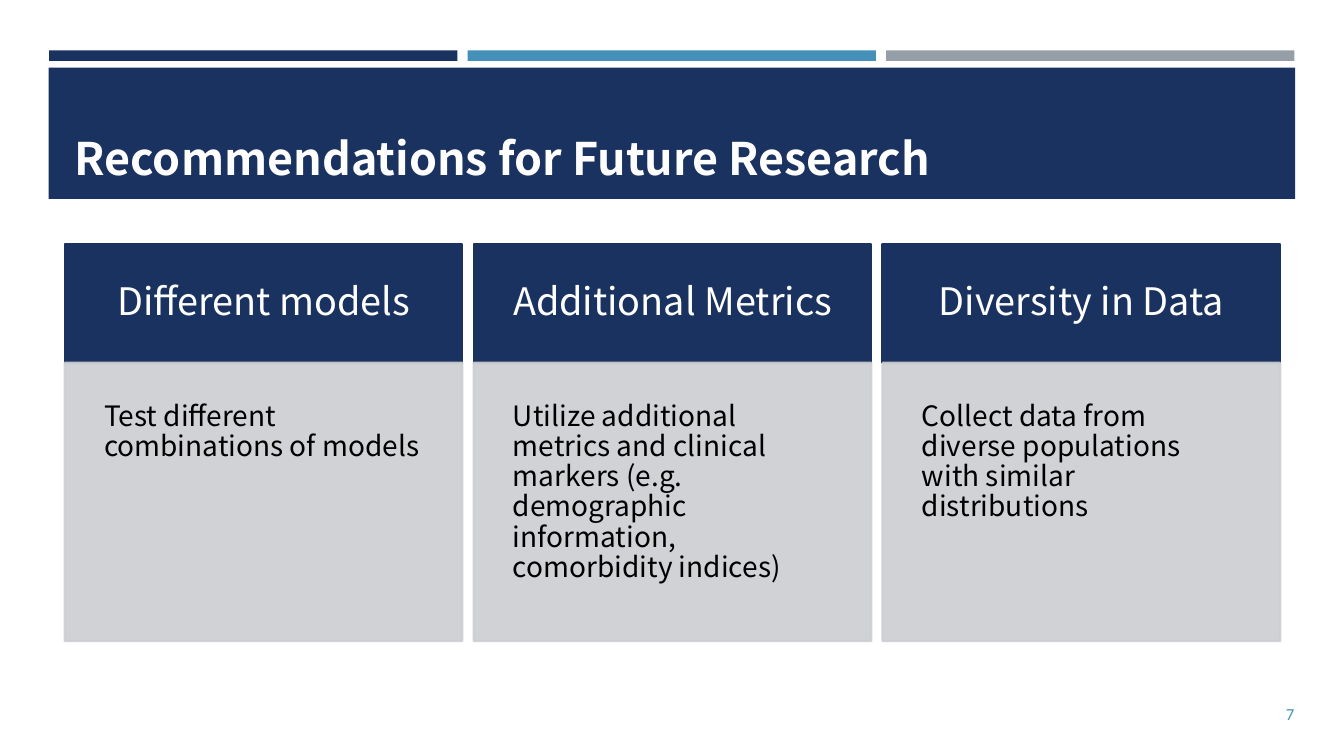
from dataclasses import dataclass

from lxml.etree import SubElement
from pptx import Presentation
from pptx.dml.color import RGBColor
from pptx.enum.shapes import MSO_SHAPE as Preset
from pptx.enum.text import MSO_ANCHOR as Anchor, MSO_AUTO_SIZE as AutoSize, PP_ALIGN as Align
from pptx.oxml.ns import qn
from pptx.shapes.autoshape import Shape
from pptx.slide import Slide
from pptx.util import Pt

NAVY = RGBColor(0x1A, 0x32, 0x60)
BLUE = RGBColor(0x45, 0x90, 0xB8)
GRAY = RGBColor(0x96, 0x9F, 0xA7)
PALE = RGBColor(0xCD, 0xCE, 0xD2)
WHITE = RGBColor(0xFF, 0xFF, 0xFF)
OFF_WHITE = RGBColor(0xFF, 0xFE, 0xFF)
BLACK = RGBColor(0x00, 0x00, 0x00)

MAIN_FONT = "Noto Sans CJK KR"
NUMBER_FONT = "Calibri"

BAR_LEFT, BAR_STEP, BAR_WIDTH = 35.1, 298.9, 291.7
CARD_LEFT, CARD_STEP, CARD_WIDTH = 46.3, 292.1, 283.9
HEADER_TOP, HEADER_HEIGHT, BODY_HEIGHT = 174.2, 85, 198.7


@dataclass(frozen=True)
class Box:
    left: float
    top: float
    width: float
    height: float


@dataclass(frozen=True)
class TextStyle:
    size: float
    color: RGBColor
    align: Align
    anchor: Anchor
    inset: float | None = None
    font: str = MAIN_FONT
    bold: bool = False
    line_spacing: float | None = None


@dataclass(frozen=True)
class Card:
    heading: str
    detail: str


TITLE_STYLE = TextStyle(32, OFF_WHITE, Align.LEFT, Anchor.BOTTOM, bold=True)
NUMBER_STYLE = TextStyle(12, BLUE, Align.RIGHT, Anchor.MIDDLE, font=NUMBER_FONT)
HEADING_STYLE = TextStyle(27, WHITE, Align.CENTER, Anchor.MIDDLE, 22.4, line_spacing=0.9)
DETAIL_STYLE = TextStyle(20, BLACK, Align.LEFT, Anchor.TOP, 28, line_spacing=0.9)

CARDS = [
    Card("Different models", "Test different combinations of models"),
    Card(
        "Additional Metrics",
        "Utilize additional metrics and clinical markers "
        "(e.g. demographic information, comorbidity indices)",
    ),
    Card(
        "Diversity in Data",
        "Collect data from diverse populations with similar distributions",
    ),
]


def place(shape: Shape, box: Box) -> None:
    shape.left, shape.top = Pt(box.left), Pt(box.top)
    shape.width, shape.height = Pt(box.width), Pt(box.height)


def write(shape: Shape, text: str, style: TextStyle) -> None:
    frame = shape.text_frame
    frame.word_wrap = True
    frame.auto_size = AutoSize.NONE
    frame.vertical_anchor = style.anchor
    if style.inset is not None:
        frame.margin_left = frame.margin_right = Pt(style.inset)
        frame.margin_top = frame.margin_bottom = Pt(style.inset)
    paragraph = frame.paragraphs[0]
    paragraph.alignment = style.align
    if style.line_spacing is not None:
        paragraph.line_spacing = style.line_spacing
    run = paragraph.add_run()
    run.text = text
    run.font.name = style.font
    run.font.size = Pt(style.size)
    run.font.bold = style.bold
    run.font.color.rgb = style.color


def add_rectangle(slide: Slide, box: Box, color: RGBColor, outlined: bool = False) -> Shape:
    shape = slide.shapes.add_shape(
        Preset.RECTANGLE, Pt(box.left), Pt(box.top), Pt(box.width), Pt(box.height)
    )
    shape.shadow.inherit = False
    shape.fill.solid()
    shape.fill.fore_color.rgb = color
    if outlined:
        shape.line.color.rgb = color
        shape.line.width = Pt(1.75)
    else:
        shape.line.fill.background()
    return shape


def set_opacity(shape: Shape, percent: int) -> None:
    for color in shape._element.spPr.iter(qn("a:srgbClr")):
        SubElement(color, qn("a:alpha")).set("val", str(percent * 1000))


def add_card(slide: Slide, card: Card, left: float) -> None:
    header = add_rectangle(slide, Box(left, HEADER_TOP, CARD_WIDTH, HEADER_HEIGHT), NAVY, True)
    write(header, card.heading, HEADING_STYLE)
    body_box = Box(left, HEADER_TOP + HEADER_HEIGHT, CARD_WIDTH, BODY_HEIGHT)
    body = add_rectangle(slide, body_box, PALE, True)
    set_opacity(body, 90)
    write(body, card.detail, DETAIL_STYLE)


def add_title(slide: Slide) -> None:
    add_rectangle(slide, Box(34.8, 48.4, 890.4, 93.7), NAVY)
    title = slide.shapes.title
    title._element.getparent().append(title._element)
    place(title, Box(46.1, 55.4, 868.3, 79.9))
    write(title, "Recommendations for Future Research", TITLE_STYLE)


def add_slide_number(slide: Slide) -> None:
    number = slide.shapes.add_textbox(Pt(848.9), Pt(495.4), Pt(82.8), Pt(28.8))
    write(number, "7", NUMBER_STYLE)


def main() -> None:
    presentation = Presentation()
    presentation.slide_width, presentation.slide_height = Pt(960), Pt(540)
    slide = presentation.slides.add_slide(presentation.slide_layouts[5])
    for index, color in enumerate((NAVY, BLUE, GRAY)):
        add_rectangle(slide, Box(BAR_LEFT + index * BAR_STEP, 36, BAR_WIDTH, 7.6), color)
    add_title(slide)
    for index, card in enumerate(CARDS):
        add_card(slide, card, CARD_LEFT + index * CARD_STEP)
    add_slide_number(slide)
    presentation.save("out.pptx")


if __name__ == "__main__":
    main()
